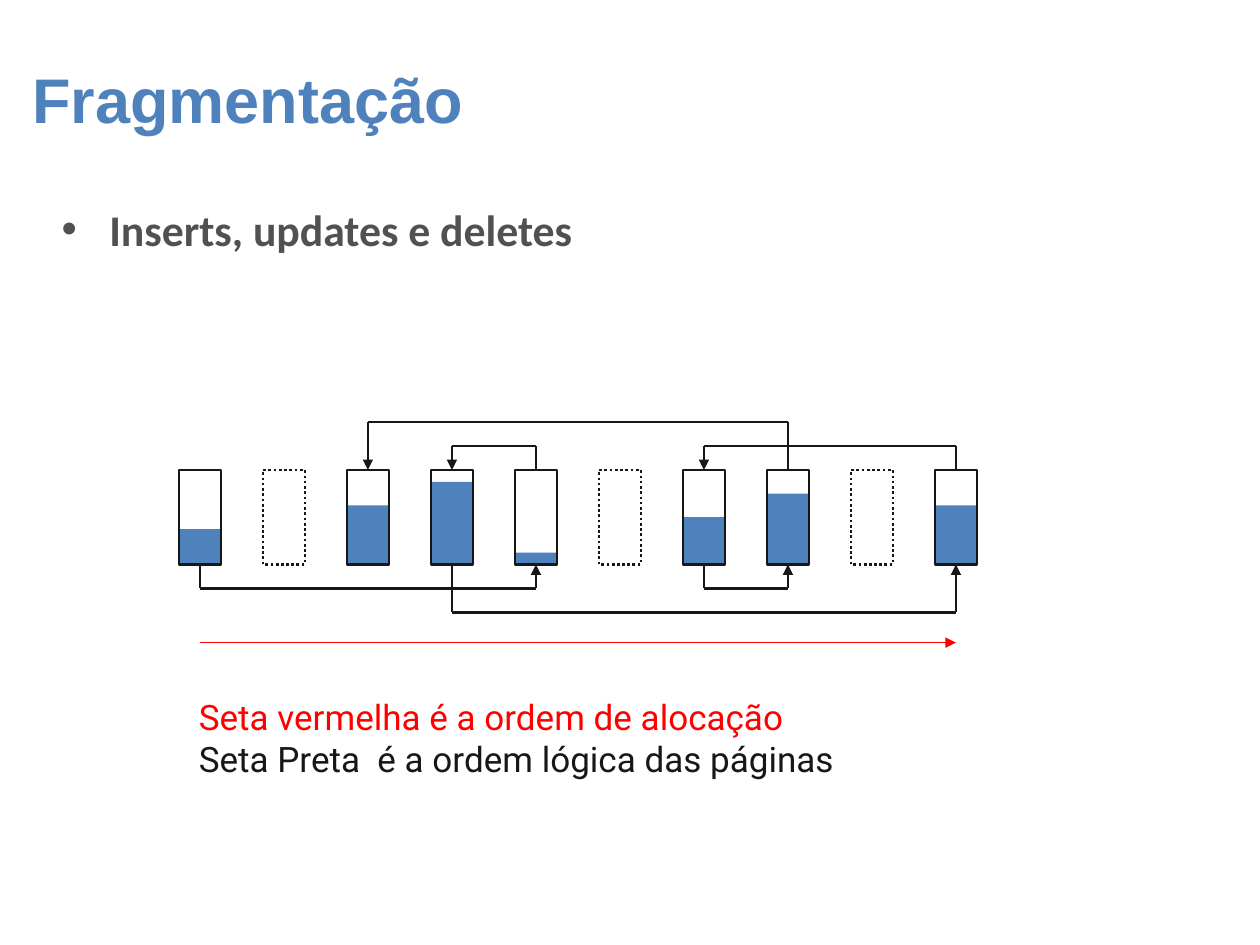
"""Build the slide on page fragmentation, with allocation order against logical order."""
from dataclasses import dataclass

from lxml import etree
from pptx import Presentation
from pptx.dml.color import RGBColor
from pptx.enum.dml import MSO_LINE
from pptx.enum.shapes import MSO_CONNECTOR, MSO_SHAPE
from pptx.enum.text import MSO_ANCHOR
from pptx.oxml.ns import qn
from pptx.util import Inches, Pt

RECTANGLE = MSO_SHAPE.RECTANGLE
STRAIGHT = MSO_CONNECTOR.STRAIGHT
DOTTED = MSO_LINE.ROUND_DOT
MIDDLE = MSO_ANCHOR.MIDDLE
TOP_SIDE, BOTTOM_SIDE = 0, 2


@dataclass(frozen=True)
class Theme:
    blue: RGBColor = RGBColor(0x4F, 0x81, 0xBD)
    gray: RGBColor = RGBColor(0x51, 0x51, 0x51)
    ink: RGBColor = RGBColor(0x17, 0x17, 0x17)
    red: RGBColor = RGBColor(0xFF, 0x00, 0x00)
    white: RGBColor = RGBColor(0xFF, 0xFF, 0xFF)
    title_size: Pt = Pt(36)
    body_size: Pt = Pt(25)
    legend_size: Pt = Pt(20)
    page_line: Pt = Pt(1.5)
    allocation_line: Pt = Pt(0.75)


theme = Theme()
presentation = Presentation()
presentation.slide_width, presentation.slide_height = Inches(10), Inches(7.5)
slide = presentation.slides.add_slide(presentation.slide_layouts[6])


def add_rectangle(left, top, height, fill=None, line=None):
    shape = slide.shapes.add_shape(
        RECTANGLE, Inches(left), Inches(top), Inches(PAGE_WIDTH), Inches(height)
    )
    shape.shadow.inherit = False
    if fill is None:
        shape.fill.background()
    else:
        shape.fill.solid()
        shape.fill.fore_color.rgb = fill
    if line is None:
        shape.line.fill.background()
    else:
        shape.line.color.rgb = line
        shape.line.width = theme.page_line
    return shape


def add_line(start, end, color, width, arrow=False):
    connector = slide.shapes.add_connector(STRAIGHT, *map(Inches, start + end))
    connector.line.color.rgb = color
    connector.line.width = width
    if arrow:
        line = connector.line._get_or_add_ln()
        etree.SubElement(line, qn("a:tailEnd"), type="triangle")
    etree.SubElement(connector._element.spPr, qn("a:effectLst"))
    return connector


texts = [
    ((0.16, 0.39, 9.84, 0.78), True, "Arial", theme.title_size, True,
     [("Fragmentação", theme.blue)]),
    ((0.39, 1.56, 9.14, 4.84), True, "Calibri", theme.body_size, True,
     [("Inserts, updates e deletes", theme.gray)]),
    ((1.48, 5.47, 5.26, 0.73), False, "Roboto", theme.legend_size, False,
     [("Seta vermelha é a ordem de alocação", theme.red),
      ("Seta Preta  é a ordem lógica das páginas", theme.ink)]),
]
frames = []
for box, wrap, font_name, size, bold, lines in texts:
    frame = slide.shapes.add_textbox(*map(Inches, box)).text_frame
    frame.word_wrap = wrap
    for index, (text, color) in enumerate(lines):
        paragraph = frame.add_paragraph() if index else frame.paragraphs[0]
        run = paragraph.add_run()
        run.text = text
        run.font.name = font_name
        run.font.size = size
        run.font.bold = bold
        run.font.color.rgb = color
    frames.append(frame)

title_frame, body_frame, legend_frame = frames
title_frame.vertical_anchor = MIDDLE
bullet_properties = body_frame.paragraphs[0]._p.get_or_add_pPr()
bullet_properties.set("marL", str(Inches(0.38)))
bullet_properties.set("indent", str(-Inches(0.38)))
etree.SubElement(bullet_properties, qn("a:buFont"), typeface="Arial")
etree.SubElement(bullet_properties, qn("a:buChar"), char="•")

PAGE_LEFT, PAGE_TOP = 1.42, 3.73
PAGE_WIDTH, PAGE_HEIGHT = 1 / 3, 0.75
PAGE_BOTTOM = PAGE_TOP + PAGE_HEIGHT
PITCH = 2 * PAGE_WIDTH
LANE = 0.19
filled_eighths = [3, None, 5, 7, 1, None, 4, 6, None, 5]

pages = []
for slot, eighths in enumerate(filled_eighths):
    left = PAGE_LEFT + slot * PITCH
    if eighths is None:
        page = add_rectangle(left, PAGE_TOP, PAGE_HEIGHT, theme.white, theme.ink)
        page.line.dash_style = DOTTED
    else:
        add_rectangle(left, PAGE_TOP, PAGE_HEIGHT, theme.white)
        level = PAGE_HEIGHT * eighths / 8
        add_rectangle(left, PAGE_BOTTOM - level, level, theme.blue)
        page = add_rectangle(left, PAGE_TOP, PAGE_HEIGHT, line=theme.ink)
    pages.append(page)

centers = [PAGE_LEFT + PAGE_WIDTH / 2 + slot * PITCH for slot in range(len(pages))]
logical_links = [
    (0, 4, BOTTOM_SIDE, 1),
    (4, 3, TOP_SIDE, 1),
    (3, 9, BOTTOM_SIDE, 2),
    (9, 6, TOP_SIDE, 1),
    (6, 7, BOTTOM_SIDE, 1),
    (7, 2, TOP_SIDE, 2),
]
for source, target, side, lanes in logical_links:
    edge = PAGE_TOP if side == TOP_SIDE else PAGE_BOTTOM
    lane = edge + lanes * (-LANE if side == TOP_SIDE else LANE)
    start, end = centers[source], centers[target]
    leaving = add_line((start, edge), (start, lane), theme.ink, theme.page_line)
    leaving.begin_connect(pages[source], side)
    add_line((start, lane), (end, lane), theme.ink, theme.page_line)
    arriving = add_line((end, lane), (end, edge), theme.ink, theme.page_line, arrow=True)
    arriving.end_connect(pages[target], side)

add_line((centers[0], 5.1), (centers[-1], 5.1), theme.red, theme.allocation_line, arrow=True)

presentation.save("out.pptx")
